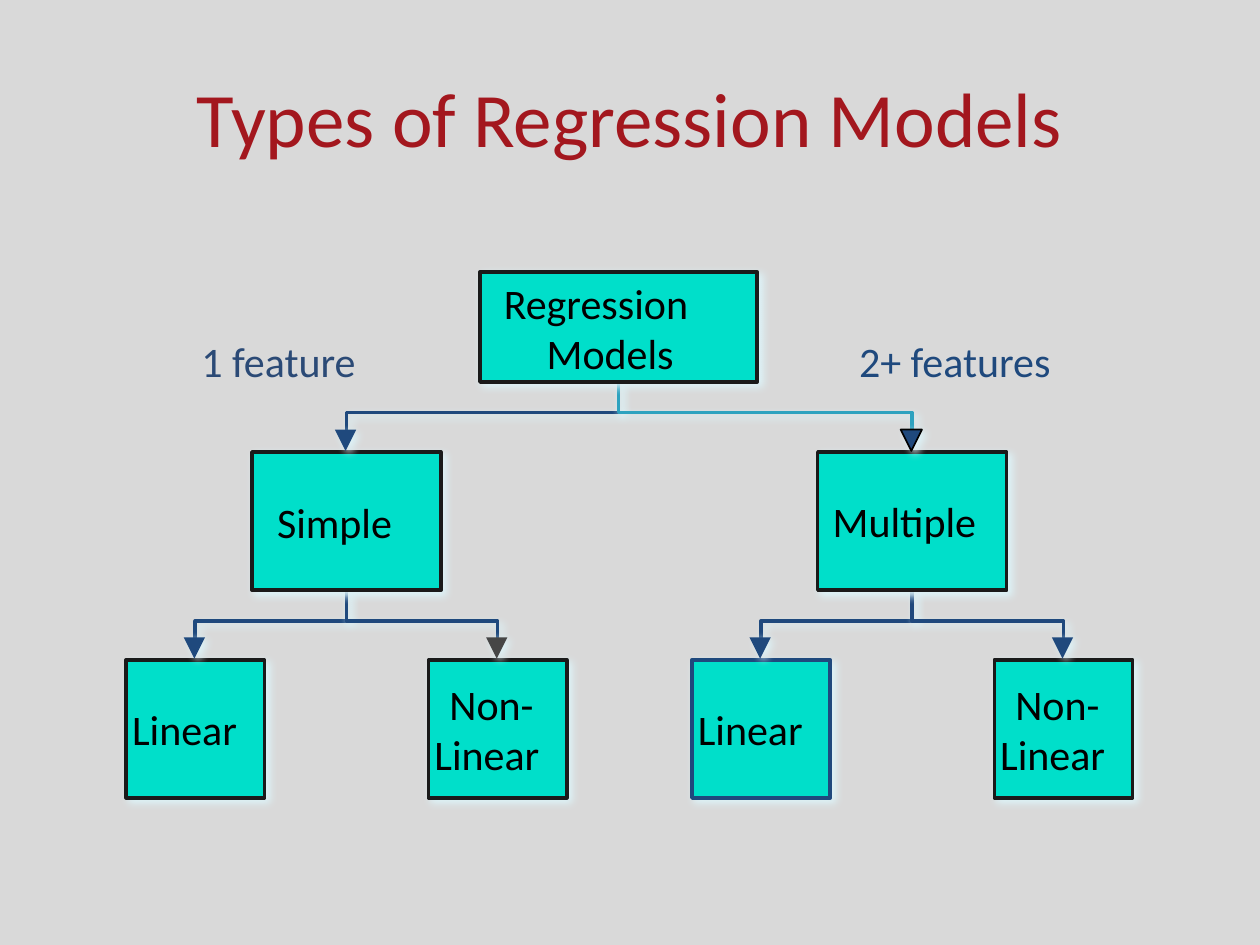
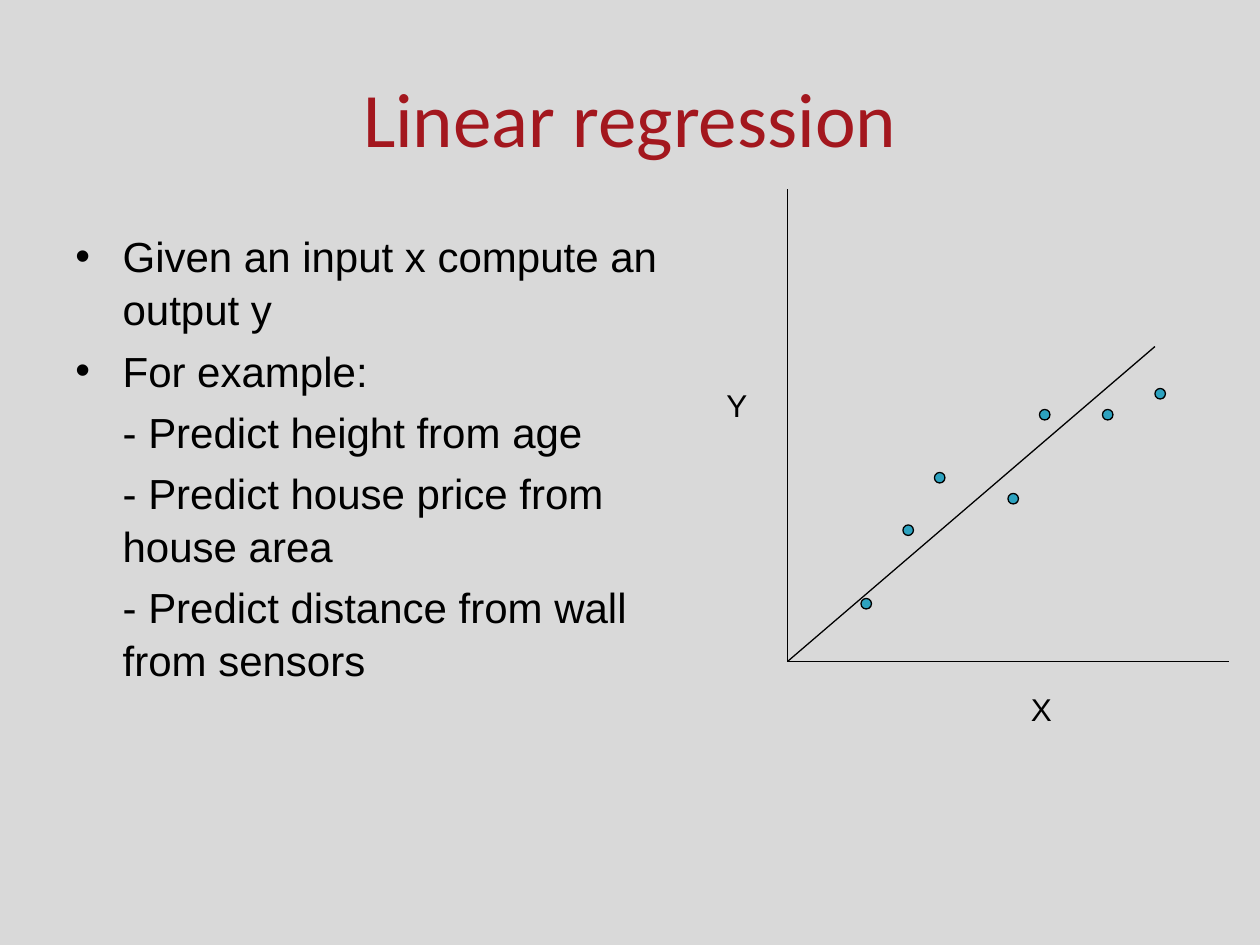
from dataclasses import dataclass

from lxml import etree
from pptx import Presentation
from pptx.dml.color import RGBColor
from pptx.enum.shapes import MSO_CONNECTOR, MSO_SHAPE
from pptx.enum.text import MSO_ANCHOR, PP_ALIGN
from pptx.oxml.ns import qn
from pptx.util import Pt

COLORS = {
    "background": "D9D9D9", "title": "A3171E", "text": "000000",
    "box": "00DFCA", "outline": "1A1A1A", "navy": "1F497D", "slate": "2B4A76",
    "teal": "2DA2BF", "gray": "464646", "glow": "DEF5FA",
}


@dataclass(frozen=True)
class Label:
    """Text placed relative to the centre line of its box."""
    text: str
    dx: float
    top: float
    width: float
    color: str = "text"


@dataclass(frozen=True)
class Node:
    cx: float
    top: float
    width: float
    height: float
    labels: tuple[Label, ...]
    outline: str = "outline"

    @property
    def bottom(self) -> float:
        return self.top + self.height


@dataclass(frozen=True)
class Branch:
    parent: Node
    child: Node
    line: str = "navy"
    head: str = "navy"
    head_outline: str | None = None


# Model tree: every level is laid out around its parent's centre
LEAF_OFFSET, LEAF_TOP = 86.4, 377
LINEAR = (Label("Linear", -43.2, 398.2, 75),)
NON_LINEAR = (Label("Non-", -34.6, 384.3, 62.6), Label("Linear", -43.2, 412.6, 75))


def leaf(parent: Node, side: int, labels: tuple[Label, ...], outline: str = "outline") -> Node:
    return Node(parent.cx + side * LEAF_OFFSET, LEAF_TOP, 79, 79, labels, outline)


ROOT = Node(353.5, 155.3, 158.4, 63, (Label("Regression", -72.7, 154.8, 121.7),
                                      Label("Models", -48.2, 183.6, 87.8)))
SIMPLE = Node(198, 258.3, 108, 79, (Label("Simple", -46.8, 280, 80.6),))
MULTIPLE = Node(521.3, 258.3, 108, 79, (Label("Multiple", -52.6, 279.4, 97.2),))
BRANCHES = (
    Branch(ROOT, SIMPLE),
    Branch(ROOT, MULTIPLE, line="teal", head_outline="text"),
    Branch(SIMPLE, leaf(SIMPLE, -1, LINEAR)),
    Branch(SIMPLE, leaf(SIMPLE, 1, NON_LINEAR), head="gray"),
    Branch(MULTIPLE, leaf(MULTIPLE, -1, LINEAR, "navy")),
    Branch(MULTIPLE, leaf(MULTIPLE, 1, NON_LINEAR)),
)
FEATURE_LABELS = (Label("1 feature", 108, 188, 104.4, "slate"),
                  Label("2+ features", 483.8, 188, 126, "navy"))

# Scatter sketch
ORIGIN = (450, 378)
LINE_ENDS = ((702, 378), (450, 108), (660, 198))
POINTS = ((492, 342), (516, 300), (534, 270), (576, 282),
          (594, 234), (630, 234), (660, 222))
AXIS_LABELS = (("X", 582, 391), ("Y", 408, 217))
DOT = 6

BULLETS = ("Given an input x compute an output y", "For example:")
EXAMPLES = ("- Predict height from age", "- Predict house price from house area",
            "- Predict distance from wall from sensors")


def rgb(name: str) -> RGBColor:
    return RGBColor.from_string(COLORS[name])


def format_text(p, font: str, size: float, color: str) -> None:
    for r in p.runs:
        r.font.name, r.font.size = font, Pt(size)
        r.font.color.rgb = rgb(color)


def paint(sp, fill: str | None, line: str | None, weight: float = 2, glow: bool = True) -> None:
    """Fill and outline a shape, with the pale offset shadow if wanted."""
    if fill:
        sp.fill.solid()
        sp.fill.fore_color.rgb = rgb(fill)
    else:
        sp.fill.background()
    if line:
        sp.line.color.rgb = rgb(line)
        sp.line.width = Pt(weight)
    else:
        sp.line.fill.background()
    sp.shadow.inherit = False
    if glow:
        effects = sp._element.spPr.find(qn("a:effectLst"))
        shadow = etree.SubElement(effects, qn("a:outerShdw"), blurRad=str(Pt(5)),
                                  dist=str(Pt(2.8)), dir=str(45 * 60000),
                                  algn="ctr", rotWithShape="0")
        etree.SubElement(shadow, qn("a:srgbClr"), val=COLORS["glow"])


def add_text(s, text: str, left: float, top: float, width: float, height: float,
             font: str, size: float, color: str = "text", wrap: bool = True) -> None:
    tf = s.shapes.add_textbox(Pt(left), Pt(top), Pt(width), Pt(height)).text_frame
    tf.word_wrap = wrap
    tf.text = text
    format_text(tf.paragraphs[0], font, size, color)


def add_label(s, label: Label, cx: float = 0) -> None:
    add_text(s, label.text, cx + label.dx, label.top, label.width, 36,
             "Calibri", 24, label.color, wrap=False)


def add_node(s, node: Node) -> None:
    sp = s.shapes.add_shape(MSO_SHAPE.RECTANGLE, Pt(node.cx - node.width / 2), Pt(node.top),
                            Pt(node.width), Pt(node.height))
    paint(sp, "box", node.outline)
    for label in node.labels:
        add_label(s, label, node.cx)


def add_elbow(s, branch: Branch) -> None:
    parent, child = branch.parent, branch.child
    middle, end = parent.bottom + 17.5, child.top - 11.5
    builder = s.shapes.build_freeform(Pt(parent.cx), Pt(parent.bottom), scale=1.0)
    builder.add_line_segments([(Pt(parent.cx), Pt(middle)), (Pt(child.cx), Pt(middle)),
                               (Pt(child.cx), Pt(end))], close=False)
    paint(builder.convert_to_shape(), None, branch.line)


def add_head(s, branch: Branch) -> None:
    size = 12.2
    sp = s.shapes.add_shape(MSO_SHAPE.FLOWCHART_MERGE, Pt(branch.child.cx - size / 2 - 0.5),
                            Pt(branch.child.top - size - 0.6), Pt(size), Pt(size))
    paint(sp, branch.head, branch.head_outline, 1)


def add_line(s, start: tuple[float, float], end: tuple[float, float]) -> None:
    line = s.shapes.add_connector(MSO_CONNECTOR.STRAIGHT, *map(Pt, start + end))
    line.line.color.rgb = rgb("text")
    line.line.width = Pt(0.75)
    etree.SubElement(line._element.spPr, qn("a:effectLst"))


def add_titled_slide(prs, title: str):
    s = prs.slides.add_slide(prs.slide_layouts[5])
    s.background.fill.solid()
    s.background.fill.fore_color.rgb = rgb("background")
    sp = s.shapes.title
    sp.left, sp.top, sp.width, sp.height = Pt(36), Pt(21.6), Pt(648), Pt(90)
    tf = sp.text_frame
    tf.text = title
    tf.vertical_anchor = MSO_ANCHOR.MIDDLE
    p = tf.paragraphs[0]
    p.alignment = PP_ALIGN.CENTER
    format_text(p, "Calibri", 44, "title")
    return s


def add_body(s) -> None:
    tf = s.shapes.add_textbox(Pt(36), Pt(127), Pt(366), Pt(356)).text_frame
    tf.word_wrap = True
    for i, text in enumerate(BULLETS + EXAMPLES):
        p = tf.add_paragraph() if i else tf.paragraphs[0]
        p.text = text
        p.line_spacing = 1.05
        p.space_before = Pt(4.8 if i else 0)
        format_text(p, "Arial", 24, "text")
        bulleted = text in BULLETS
        pPr = p._p.get_or_add_pPr()
        pPr.set("marL", str(Pt(27)))
        pPr.set("indent", str(Pt(-27 if bulleted else 0)))
        if bulleted:
            etree.SubElement(pPr, qn("a:buFont"), typeface="Arial")
            etree.SubElement(pPr, qn("a:buChar"), char="•")


def build_models_slide(prs) -> None:
    s = add_titled_slide(prs, "Types of Regression Models")
    for branch in BRANCHES:
        add_elbow(s, branch)
    for node in (ROOT, *(branch.child for branch in BRANCHES)):
        add_node(s, node)
    for branch in BRANCHES:
        add_head(s, branch)
    for label in FEATURE_LABELS:
        add_label(s, label)


def build_linear_slide(prs) -> None:
    s = add_titled_slide(prs, "Linear regression")
    add_body(s)
    for end in LINE_ENDS:
        add_line(s, ORIGIN, end)
    for x, y in POINTS:
        dot = s.shapes.add_shape(MSO_SHAPE.OVAL, Pt(x), Pt(y), Pt(DOT), Pt(DOT))
        paint(dot, "teal", "text", 0.75, glow=False)
    for text, left, top in AXIS_LABELS:
        add_text(s, text, left, top, 36, 29, "Arial", 18)


def main() -> None:
    prs = Presentation()
    prs.slide_width, prs.slide_height = Pt(720), Pt(540)
    build_models_slide(prs)
    build_linear_slide(prs)
    prs.save("out.pptx")


if __name__ == "__main__":
    main()
